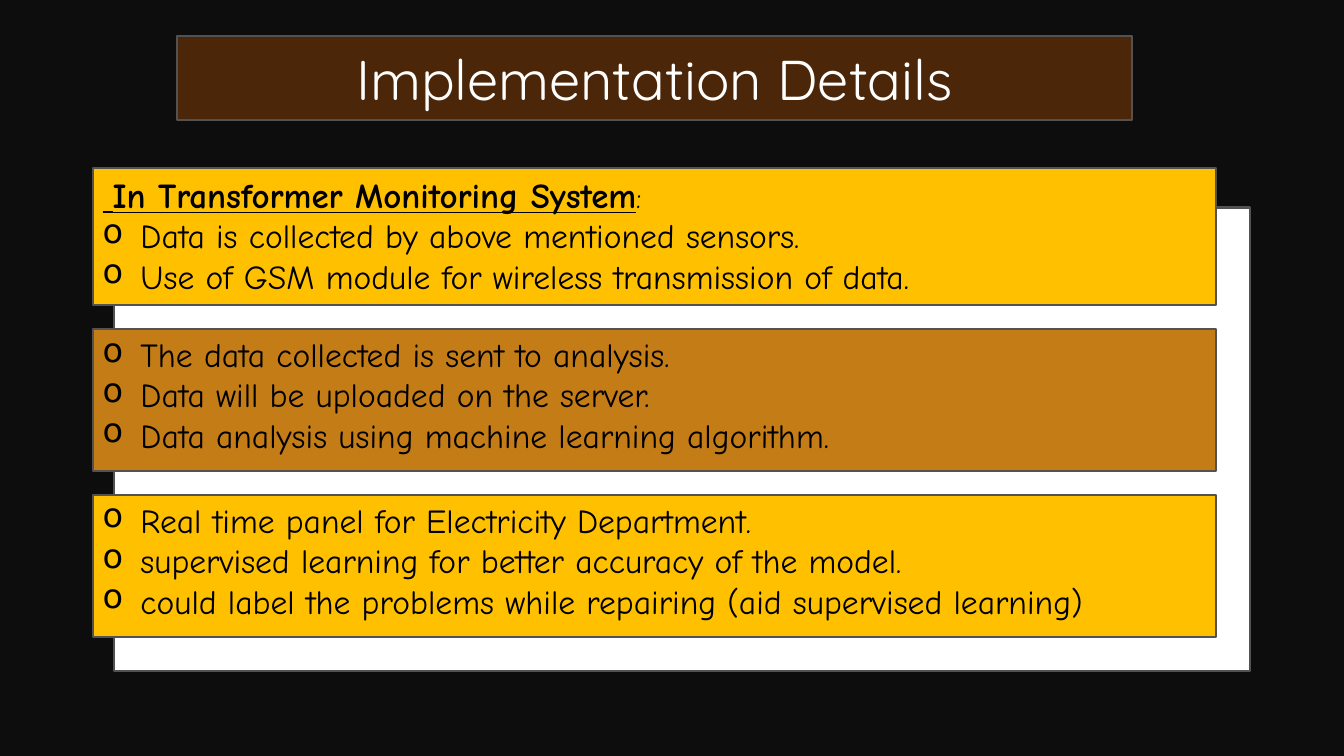
from lxml import etree
from pptx import Presentation
from pptx.dml.color import RGBColor
from pptx.enum.shapes import MSO_SHAPE
from pptx.enum.text import MSO_ANCHOR, MSO_AUTO_SIZE, PP_ALIGN
from pptx.oxml.ns import qn
from pptx.util import Cm, Pt

RECTANGLE = MSO_SHAPE.RECTANGLE
TOP, MIDDLE = MSO_ANCHOR.TOP, MSO_ANCHOR.MIDDLE
LEFT, CENTER = PP_ALIGN.LEFT, PP_ALIGN.CENTER
GROW = MSO_AUTO_SIZE.SHAPE_TO_FIT_TEXT

NIGHT = RGBColor(0x0D, 0x0D, 0x0D)
BROWN = RGBColor(0x4B, 0x26, 0x08)
AMBER = RGBColor(0xFF, 0xC0, 0x00)
OCHRE = RGBColor(0xC4, 0x7C, 0x16)
GREY = RGBColor(0x52, 0x52, 0x52)
WHITE = RGBColor(0xFF, 0xFF, 0xFF)
BLACK = RGBColor(0x00, 0x00, 0x00)

TITLE_FONT = "Quicksand"
BODY_FONT = "Comic Neue"
TITLE_ONLY_LAYOUT = 5
PANEL_LEFT, PANEL_TOP, PANEL_WIDTH, PANEL_GAP = 2.34, 4.24, 28.3, 0.6
BULLET_INDENT = 0.95

HEADING = [
    (" ", 21, False, True),
    ("In Transformer Monitoring System", 25, True, True),
    (":", 21, False, False),
]
PANELS = [
    (3.45, AMBER, HEADING, [
        "Data is collected by above mentioned sensors.",
        "Use of GSM module for wireless transmission of data.",
    ]),
    (3.58, OCHRE, [], [
        "The data collected is sent to analysis.",
        "Data will be uploaded on the server.",
        "Data analysis using machine learning algorithm.",
    ]),
    (3.58, AMBER, [], [
        "Real time panel for Electricity Department.",
        "supervised learning for better accuracy of the model.",
        "could label the problems while repairing (aid supervised learning)",
    ]),
]


class SlideBuilder:
    """Holds the style and the current slide and adds its elements."""

    def __init__(self, presentation):
        layout = presentation.slide_layouts[TITLE_ONLY_LAYOUT]
        self.slide = presentation.slides.add_slide(layout)
        background = self.slide.background.fill
        background.solid()
        background.fore_color.rgb = NIGHT

    def paint(self, shape, color):
        shape.fill.solid()
        shape.fill.fore_color.rgb = color
        shape.line.color.rgb = GREY
        shape.line.width = Pt(1.5)

    def style(self, run, size, font=BODY_FONT, color=BLACK, bold=False, underline=False):
        run.font.size = Pt(size)
        run.font.name = font
        run.font.color.rgb = color
        run.font.bold = bold
        run.font.underline = underline

    def title(self, text, left, top, width, height):
        title = self.slide.shapes.title
        title.left, title.top = Cm(left), Cm(top)
        title.width, title.height = Cm(width), Cm(height)
        self.paint(title, BROWN)
        frame = title.text_frame
        frame.text = text
        frame.vertical_anchor = MIDDLE
        frame.auto_size = GROW
        paragraph = frame.paragraphs[0]
        paragraph.alignment = CENTER
        paragraph.line_spacing = 1.0
        self.style(paragraph.runs[0], 40, TITLE_FONT, WHITE)

    def box(self, left, top, width, height, color):
        shape = self.slide.shapes.add_shape(
            RECTANGLE, Cm(left), Cm(top), Cm(width), Cm(height))
        shape.shadow.inherit = False
        self.paint(shape, color)
        return shape

    def bullet(self, paragraph, text):
        paragraph.text = text
        paragraph.alignment = LEFT
        properties = paragraph._p.get_or_add_pPr()
        properties.set("marL", str(Cm(BULLET_INDENT)))
        properties.set("indent", str(-Cm(BULLET_INDENT)))
        etree.SubElement(properties, qn("a:buChar")).set("char", "o")
        self.style(paragraph.runs[0], 24)

    def heading(self, paragraph, parts):
        paragraph.alignment = LEFT
        for text, size, bold, underline in parts:
            run = paragraph.add_run()
            run.text = text
            self.style(run, size, bold=bold, underline=underline)

    def panel(self, top, height, color, heading, bullets):
        frame = self.box(PANEL_LEFT, top, PANEL_WIDTH, height, color).text_frame
        frame.word_wrap = True
        frame.vertical_anchor = TOP
        paragraph = frame.paragraphs[0]
        if heading:
            self.heading(paragraph, heading)
            paragraph = frame.add_paragraph()
        for index, text in enumerate(bullets):
            self.bullet(frame.add_paragraph() if index else paragraph, text)


def main():
    presentation = Presentation()
    presentation.slide_width, presentation.slide_height = Cm(33.87), Cm(19.05)
    builder = SlideBuilder(presentation)
    builder.title("Implementation Details", 4.47, 0.99, 24.05, 1.96)
    builder.box(2.87, 5.23, 28.63, 11.68, WHITE)
    top = PANEL_TOP
    for height, color, heading, bullets in PANELS:
        builder.panel(top, height, color, heading, bullets)
        top += height + PANEL_GAP
    presentation.save("out.pptx")


if __name__ == "__main__":
    main()
